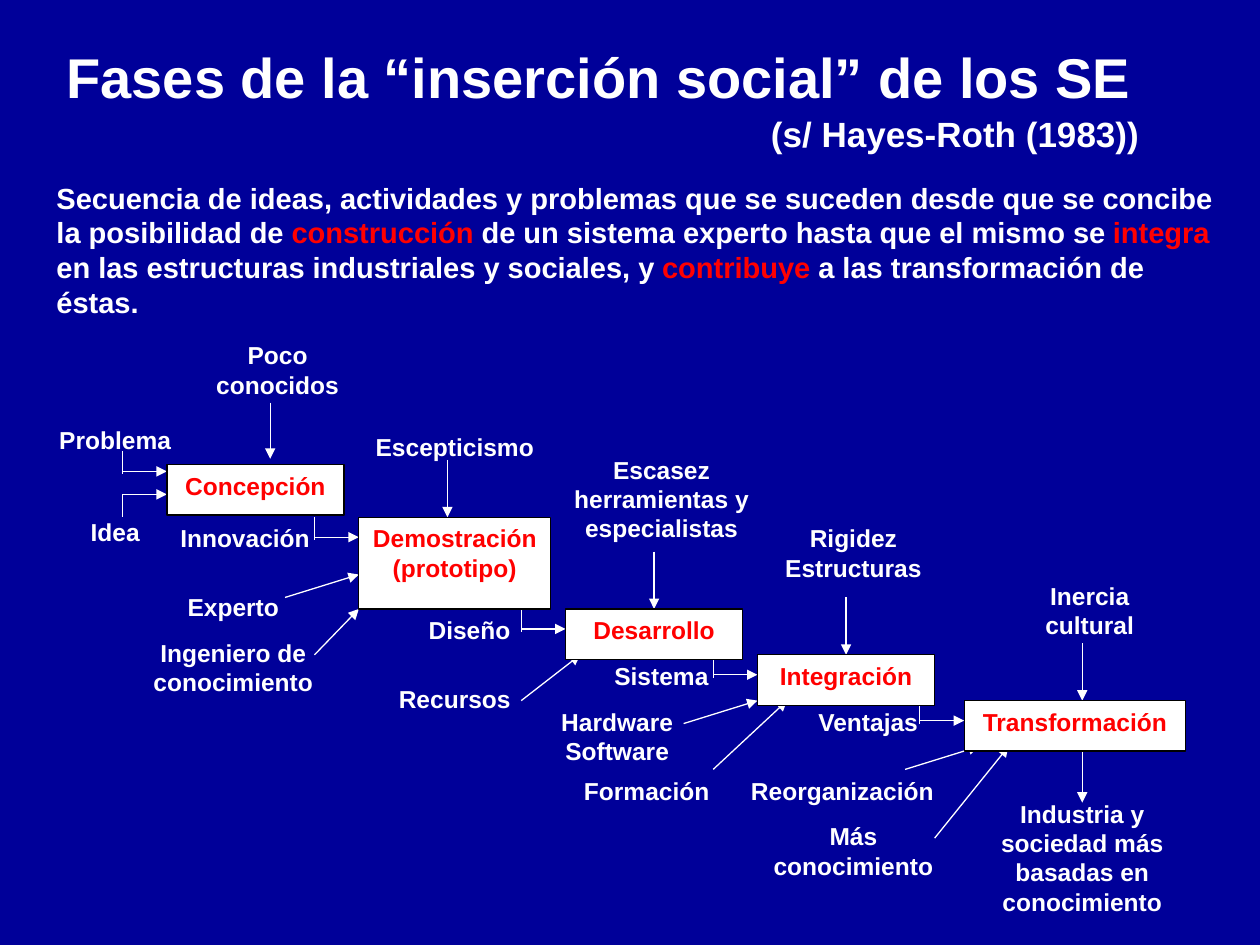
"""Builds the slide on the phases of social insertion of expert systems."""
from dataclasses import dataclass

from lxml.etree import SubElement
from pptx import Presentation
from pptx.dml.color import RGBColor as Rgb
from pptx.enum.shapes import MSO_CONNECTOR as Connector, MSO_SHAPE as Preset
from pptx.enum.text import MSO_ANCHOR as Anchor, PP_ALIGN as Align
from pptx.oxml.ns import qn
from pptx.util import Inches, Pt


@dataclass(frozen=True)
class Theme:
    font: str = "Arial"
    background: Rgb = Rgb(0, 0, 0x99)
    light: Rgb = Rgb(255, 255, 255)
    accent: Rgb = Rgb(255, 0, 0)
    outline: Rgb = Rgb(0, 0, 0)
    title: float = 32
    source: float = 20
    body: float = 16.6
    label: float = 14
    stroke: float = 0.75


THEME = Theme()
LEFT, TOP = 0.27, 2.65
COLUMN, ROW = 9.14 / 78, 4.73 / 26

PHASES = [
    ("Concepción", 9, 5.7, 12, 2.2),
    ("Demostración (prototipo)", 22, 8, 13, 4),
    ("Desarrollo", 36, 12, 12, 2.2),
    ("Integración", 49, 14, 12, 2.2),
    ("Transformación", 63, 16, 15, 2.2),
]
LABELS = [
    ("Poco conocidos", 11, 0, 11, 3.5),
    ("Problema", 0, 3.7, 11, 2),
    ("Idea", 0, 7.7, 11, 2),
    ("Innovación", 8.8, 8, 11, 2),
    ("Escepticismo", 22, 4, 13, 2),
    ("Experto", 8, 11, 11, 2),
    ("Ingeniero de conocimiento", 7, 13, 13, 3),
    ("Escasez herramientas y especialistas", 35, 5, 15, 5),
    ("Diseño", 24, 12, 11, 2),
    ("Recursos", 23, 15, 11, 2),
    ("Sistema", 37, 14, 11, 2),
    ("Ventajas", 51, 16, 11, 2),
    ("Formación", 36, 19, 11, 2),
    ("Hardware\nSoftware", 33, 16, 13, 3),
    ("Rigidez\nEstructuras", 49, 8, 13, 3),
    ("Inercia cultural", 65, 10.5, 13, 3.5),
    ("Más conocimiento", 49, 21, 13, 3),
    ("Reorganización", 47, 19, 15.5, 2),
    ("Industria y sociedad más basadas en conocimiento", 64, 20, 14, 6),
]
ELBOWS = [
    (6, 5.1, 6.1, 6),
    (6, 7, 8, 7),
    (19, 8, 9, 8.87),
    (33, 12, 13, 12.87),
    (46, 14, 15, 14.87),
    (60, 16, 17, 16.87),
]
ARROWS = [
    (16, 3, 16, 5.45),
    (28, 5.5, 28, 8),
    (42, 9.5, 42, 12),
    (55, 11.5, 55, 14),
    (71, 13.5, 71, 16),
    (71, 18, 71, 20.45),
    (17, 11.5, 22, 10.5),
    (19, 14, 22, 12),
    (33, 16, 37, 14),
    (44, 17, 49, 16),
    (46, 19, 51, 16),
    (59, 19, 64, 18),
    (61, 22, 66, 18),
]


def grid_point(column, row):
    """Turn a grid position into slide lengths."""
    return Inches(LEFT + column * COLUMN), Inches(TOP + row * ROW)


def grid_area(column, row, columns, rows):
    """Turn a grid cell range into left, top, width and height."""
    return *grid_point(column, row), Inches(columns * COLUMN), Inches(rows * ROW)


def write_text(holder, text, *, size=THEME.label, color=THEME.light,
               align=Align.CENTER, anchor=Anchor.TOP):
    """Write bold text, one paragraph a line, accenting parts between asterisks."""
    frame = holder.text_frame
    frame.word_wrap = True
    frame.vertical_anchor = anchor
    for index, line in enumerate(text.split("\n")):
        paragraph = frame.add_paragraph() if index else frame.paragraphs[0]
        paragraph.alignment = align
        for position, part in enumerate(line.split("*")):
            run = paragraph.add_run()
            run.text = part
            run.font.name = THEME.font
            run.font.size = Pt(size)
            run.font.bold = True
            run.font.color.rgb = THEME.accent if position % 2 else color


def add_text(slide, text, area, **style):
    """Place free text in an area."""
    write_text(slide.shapes.add_textbox(*area), text, **style)


def add_phase(slide, name, area):
    """Draw the box of one phase."""
    phase = slide.shapes.add_shape(Preset.RECTANGLE, *area)
    phase.shadow.inherit = False
    phase.fill.solid()
    phase.fill.fore_color.rgb = THEME.light
    phase.line.color.rgb = THEME.outline
    phase.line.width = Pt(THEME.stroke)
    write_text(phase, name, color=THEME.accent)


def add_line(slide, start, end, arrow=True):
    """Draw a line between two grid positions, with an optional arrowhead."""
    link = slide.shapes.add_connector(
        Connector.STRAIGHT, *grid_point(*start), *grid_point(*end))
    link.line.color.rgb = THEME.light
    link.line.width = Pt(THEME.stroke)
    if arrow:
        SubElement(link.line._get_or_add_ln(), qn("a:tailEnd"), type="triangle")
    SubElement(link._element.spPr, qn("a:effectLst"))


def add_elbow(slide, column, top, bottom, exit_row):
    """Draw a stem and the arrow that leaves it to the right."""
    add_line(slide, (column, top), (column, bottom), arrow=False)
    add_line(slide, (column, exit_row), (column + 3, exit_row))


def add_heading(slide, width, height):
    """Write the title, its source and the introduction."""
    def share(x, y, w, h):
        """Turn shares of the slide into lengths."""
        return int(x * width), int(y * height), int(w * width), int(h * height)

    add_text(slide, "Fases de la “inserción social” de los SE",
             share(0.043, 0.028, 0.914, 0.105), size=THEME.title,
             align=Align.LEFT, anchor=Anchor.MIDDLE)
    add_text(slide, "(s/ Hayes-Roth (1983))", share(0.602, 0.112, 0.315, 0.06),
             size=THEME.source, align=Align.LEFT)
    add_text(slide, "Secuencia de ideas, actividades y problemas que se suceden desde "
             "que se concibe la posibilidad de *construcción* de un sistema experto "
             "hasta que el mismo se *integra* en las estructuras industriales y "
             "sociales, y *contribuye* a las transformación de éstas.",
             share(0.035, 0.184, 0.953, 0.168), size=THEME.body, align=Align.LEFT)


def main():
    """Build and save the slide."""
    deck = Presentation()
    deck.slide_width, deck.slide_height = Inches(10), Inches(7.5)
    slide = deck.slides.add_slide(deck.slide_layouts[6])
    slide.background.fill.solid()
    slide.background.fill.fore_color.rgb = THEME.background
    add_heading(slide, deck.slide_width, deck.slide_height)
    for text, *cells in LABELS:
        add_text(slide, text, grid_area(*cells))
    for elbow in ELBOWS:
        add_elbow(slide, *elbow)
    for *start, end_column, end_row in ARROWS:
        add_line(slide, start, (end_column, end_row))
    for name, *cells in PHASES:
        add_phase(slide, name, grid_area(*cells))
    deck.save("out.pptx")


if __name__ == "__main__":
    main()
